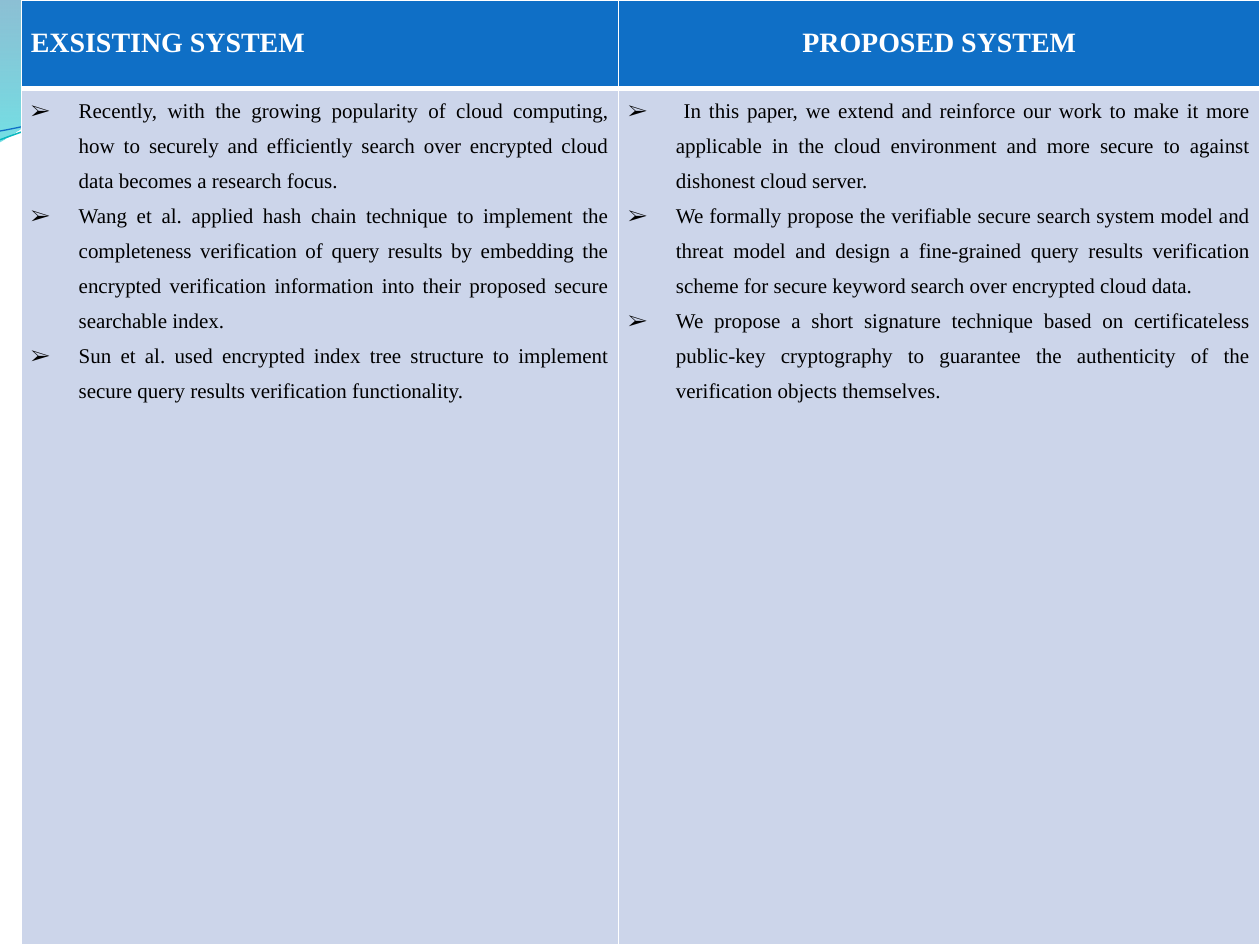
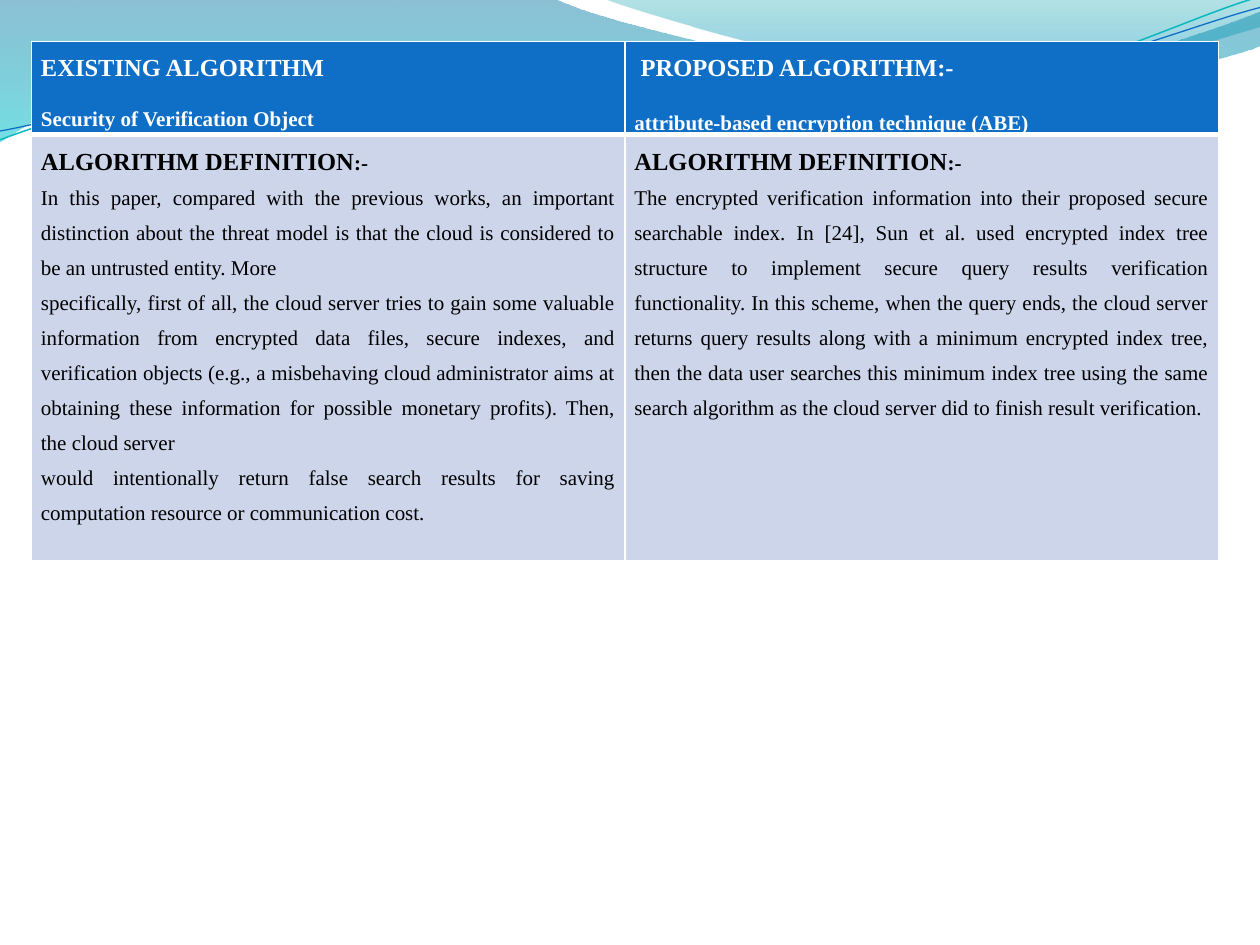
from dataclasses import dataclass

from lxml.etree import SubElement
from pptx import Presentation
from pptx.dml.color import RGBColor as Color
from pptx.enum.text import MSO_ANCHOR as Anchor, PP_ALIGN as Align
from pptx.oxml.ns import qn
from pptx.util import Inches, Pt


@dataclass(frozen=True)
class Theme:
    font: str = "Times New Roman"
    white: str = "FFFFFF"
    black: str = "000000"
    blue: str = "0F6FC6"
    teal: str = "0AB8BF"
    pale: str = "CCD5EA"
    text: int = 12
    heading: int = 14
    title: int = 16


theme = Theme()

WAVE_FILLS = [
    ([(0, 0), (4.4, -0.01), (4.76, 0.17, 6.64, 0.63, 7.58, 0.63),
      (8.53, 0.63, 9.58, 0.26, 10, 0.09), (10.01, 0.36),
      (9.83, 0.44, 8.7, 0.76, 7.46, 0.75), (6.22, 0.75, 3.82, 0.28, 2.57, 0.34),
      (1.29, 0.36, 0.46, 0.83, -0.01, 1.13), (0, 0)],
     [(0, "0074A1", 45), (1, "00C6CF", 55)]),
    ([(4.79, -0.01), (5.09, 0.11, 6.82, 0.62, 7.69, 0.65),
      (8.56, 0.69, 9.61, 0.32, 10, 0.21), (10, 0), (4.79, -0.01)],
     [(0, "00A1A9", 30), (0.8, "008BBF", 45)]),
]
WAVE_LINES = [
    ([(0, 1.11), (0.48, 0.93, 1.58, 0.57, 2.77, 0.52),
      (3.95, 0.47, 5.93, 0.89, 7.13, 0.8), (8.33, 0.71, 9.38, 0.15, 9.98, -0.02)],
     theme.teal, 0.85),
    ([(0, 1.04), (0.47, 0.96, 1.64, 0.61, 2.83, 0.56),
      (4.03, 0.51, 5.97, 0.84, 7.17, 0.75), (8.36, 0.67, 9.41, 0.21, 10, 0.06)],
     theme.blue, 0.75),
]


def draw_wave(page, outline, closed):
    points = [(Inches(x), Inches(y)) for segment in outline
              for x, y in zip(segment[::2], segment[1::2])]
    builder = page.shapes.build_freeform(*points[0])
    builder.add_line_segments(points[1:], close=closed)
    wave = builder.convert_to_shape()
    wave.shadow.inherit = False
    steps = iter(wave._element.spPr.findall(".//" + qn("a:lnTo")))
    for segment in outline[1:]:
        step = next(steps)
        if len(segment) == 6:
            step.addprevious(curve := step.makeelement(qn("a:cubicBezTo")))
            for line in (step, next(steps), next(steps)):
                curve.append(line[0])
                line.getparent().remove(line)
    return wave


def write_para(para, spans, color, align=Align.JUSTIFY, spacing=1.5,
               after=0, left=0, bullet=None):
    para.alignment = align
    para.line_spacing = spacing
    para.space_after = Pt(after)
    props = para._p.get_or_add_pPr()
    props.set("marL", str(Inches(left)))
    props.set("indent", str(Inches(-left if bullet else 0)))
    if bullet:
        SubElement(props, qn("a:buFont")).set("typeface", theme.font)
        SubElement(props, qn("a:buChar")).set("char", bullet)
    for words, size, bold in spans:
        span = para.add_run()
        span.text = words
        span.font.name = theme.font
        span.font.size = Pt(size)
        span.font.bold = bold
        span.font.color.rgb = Color.from_string(color)


definition_heading = [("ALGORITHM DEFINITION", theme.heading, True), (":-", theme.text, True)]
title_style = {"spacing": 1.07}
point_style = {"left": 0.38, "bullet": "➢"}

existing_points = [
    "Recently, with the growing popularity of cloud computing, how to securely and efficiently search over encrypted cloud data becomes a research focus.",
    "Wang et al. applied hash chain technique to implement the completeness verification of query results by embedding the encrypted verification information into their proposed secure searchable index.",
    "Sun et al. used encrypted index tree structure to implement secure query results verification functionality.",
]
proposed_points = [
    " In this paper, we extend and reinforce our work to make it more applicable in the cloud environment and more secure to against dishonest cloud server.",
    "We formally propose the verifiable secure search system model and threat model and design a fine-grained query results verification scheme for secure keyword search over encrypted cloud data.",
    "We propose a short signature technique based on certificateless public-key cryptography to guarantee the authenticity of the verification objects themselves.",
]
existing_definition = [
    "In this paper, compared with the previous works, an important distinction about the threat model is that the cloud is considered to be an untrusted entity. More",
    "specifically, first of all, the cloud server tries to gain some valuable information from encrypted data files, secure indexes, and verification objects (e.g., a misbehaving cloud administrator aims at obtaining these information for possible monetary profits). Then, the cloud server",
    "would intentionally return false search results for saving computation resource or communication cost.",
]
proposed_definition = [
    "The encrypted verification information into their proposed secure searchable index. In [24], Sun et al. used encrypted index tree structure to implement secure query results verification functionality. In this scheme, when the query ends, the cloud server returns query results along with a minimum encrypted index tree, then the data user searches this minimum index tree using the same search algorithm as the cloud server did to finish result verification.",
]

system_rows = [
    [[([("EXSISTING SYSTEM", theme.title, True)], {**title_style, "align": Align.LEFT})],
     [([("PROPOSED SYSTEM", theme.title, True)], {**title_style, "align": Align.CENTER})]],
    [[([(point, theme.text, False)], point_style) for point in points]
     for points in (existing_points, proposed_points)],
]
algorithm_rows = [
    [[([("EXISTING ALGORITHM", theme.heading, True)], {"after": 8}),
      ([("Security of Verification Object", theme.text, True)], {"after": 8})],
     [([("PROPOSED ALGORITHM:-", theme.heading, True)], {"after": 10, "left": 0.05}),
      ([("attribute-based encryption technique (ABE)", theme.text, True)], {"after": 8})]],
    [[(definition_heading, {})] + [([(words, theme.text, False)], {}) for words in definition]
     for definition in (existing_definition, proposed_definition)],
]
comparisons = [
    (0.17, 0, [4.74, 5.09], [0.7, 6.8], 0.2, system_rows),
    (0.25, 0.33, [4.71, 4.71], [0.73, 3.38], 0, algorithm_rows),
]

deck = Presentation()
deck.slide_width = Inches(10)
deck.slide_height = Inches(7.5)
pages = [deck.slides.add_slide(deck.slide_layouts[6]) for comparison in comparisons]

waves = []
for outline, stops in WAVE_FILLS:
    wave = draw_wave(pages[0], outline, True)
    wave.line.fill.background()
    wave.fill.gradient()
    wave.fill.gradient_angle = 270
    for stop, (position, color, opacity) in zip(wave.fill.gradient_stops, stops):
        stop.position = position
        stop.color.rgb = Color.from_string(color)
    tints = wave._element.spPr.findall(".//" + qn("a:gs") + "/" + qn("a:srgbClr"))
    for tint, (position, color, opacity) in zip(tints, stops):
        SubElement(tint, qn("a:alpha")).set("val", str(opacity * 1000))
    waves.append(wave)

for outline, color, width in WAVE_LINES:
    wave = draw_wave(pages[0], outline, False)
    wave.fill.background()
    wave.line.color.rgb = Color.from_string(color)
    wave.line.width = Pt(width)
    waves.append(wave)

for number, wave in enumerate(waves, 20):
    wave._element.nvSpPr.cNvPr.set("id", str(number))
    deck.slide_master.shapes._spTree.append(wave._element)

for page, (left, top, widths, heights, header_top, rows) in zip(pages, comparisons):
    table = page.shapes.add_table(2, 2, Inches(left), Inches(top),
                                  Inches(sum(widths)), Inches(sum(heights))).table
    table.horz_banding = False
    for column, width in zip(table.columns, widths):
        column.width = Inches(width)
    for row_index, (height, row_cells) in enumerate(zip(heights, rows)):
        header = row_index == 0
        table.rows[row_index].height = Inches(height)
        for column_index, paragraphs in enumerate(row_cells):
            cell = table.cell(row_index, column_index)
            cell.margin_left = cell.margin_right = Pt(5.4)
            cell.margin_top = Inches(header_top if header else 0)
            cell.margin_bottom = 0
            cell.vertical_anchor = Anchor.TOP
            props = cell._tc.get_or_add_tcPr()
            for side in ("lnL", "lnR", "lnT", "lnB"):
                thick = side == ("lnB" if header else "lnT")
                border = SubElement(props, qn("a:" + side))
                border.set("w", str(Pt(3 if thick else 1)))
                solid = SubElement(border, qn("a:solidFill"))
                SubElement(solid, qn("a:srgbClr")).set("val", theme.white)
            cell.fill.solid()
            cell.fill.fore_color.rgb = Color.from_string(theme.blue if header else theme.pale)
            frame = cell.text_frame
            for number, (spans, style) in enumerate(paragraphs):
                para = frame.add_paragraph() if number else frame.paragraphs[0]
                write_para(para, spans, theme.white if header else theme.black, **style)

deck.save("out.pptx")
